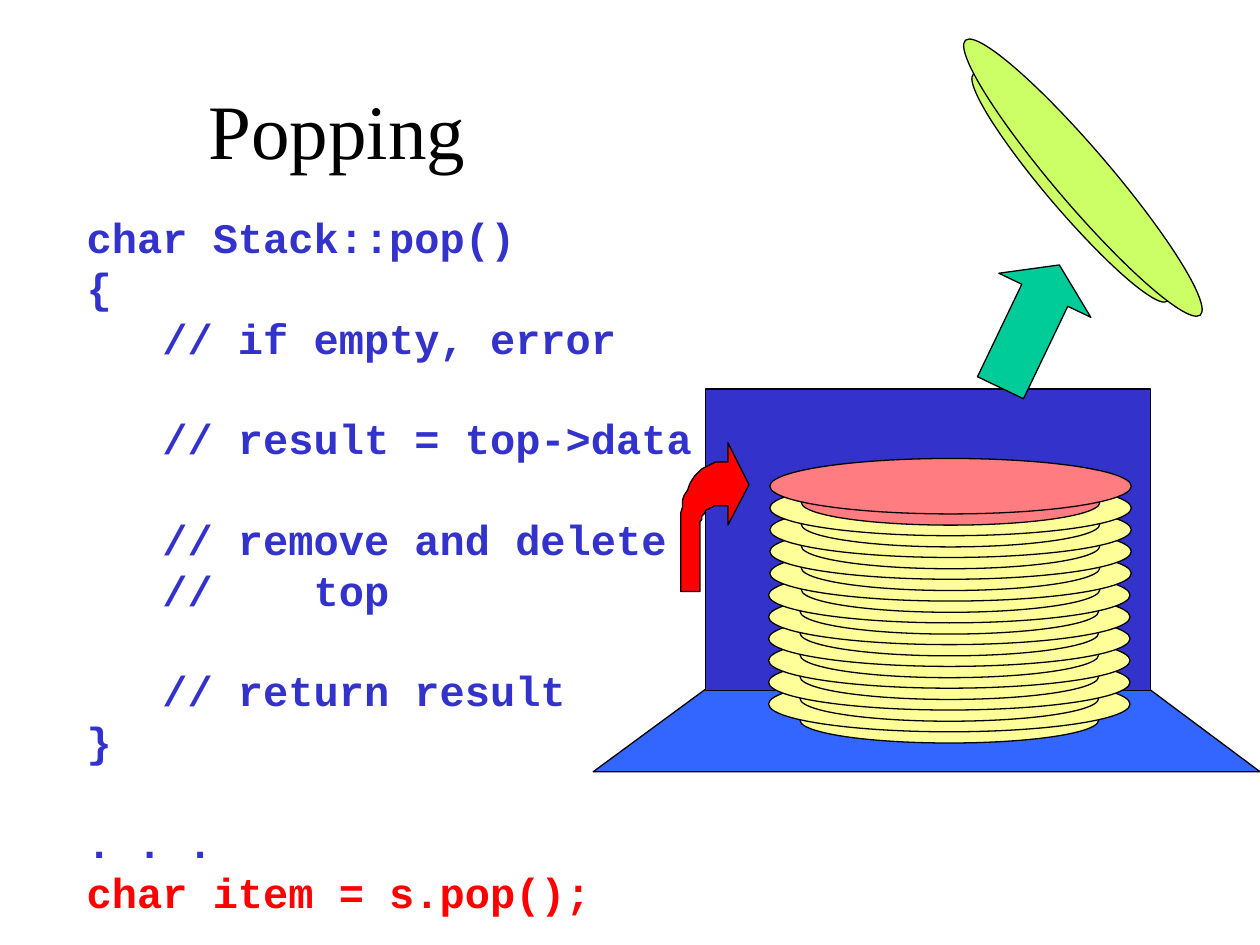
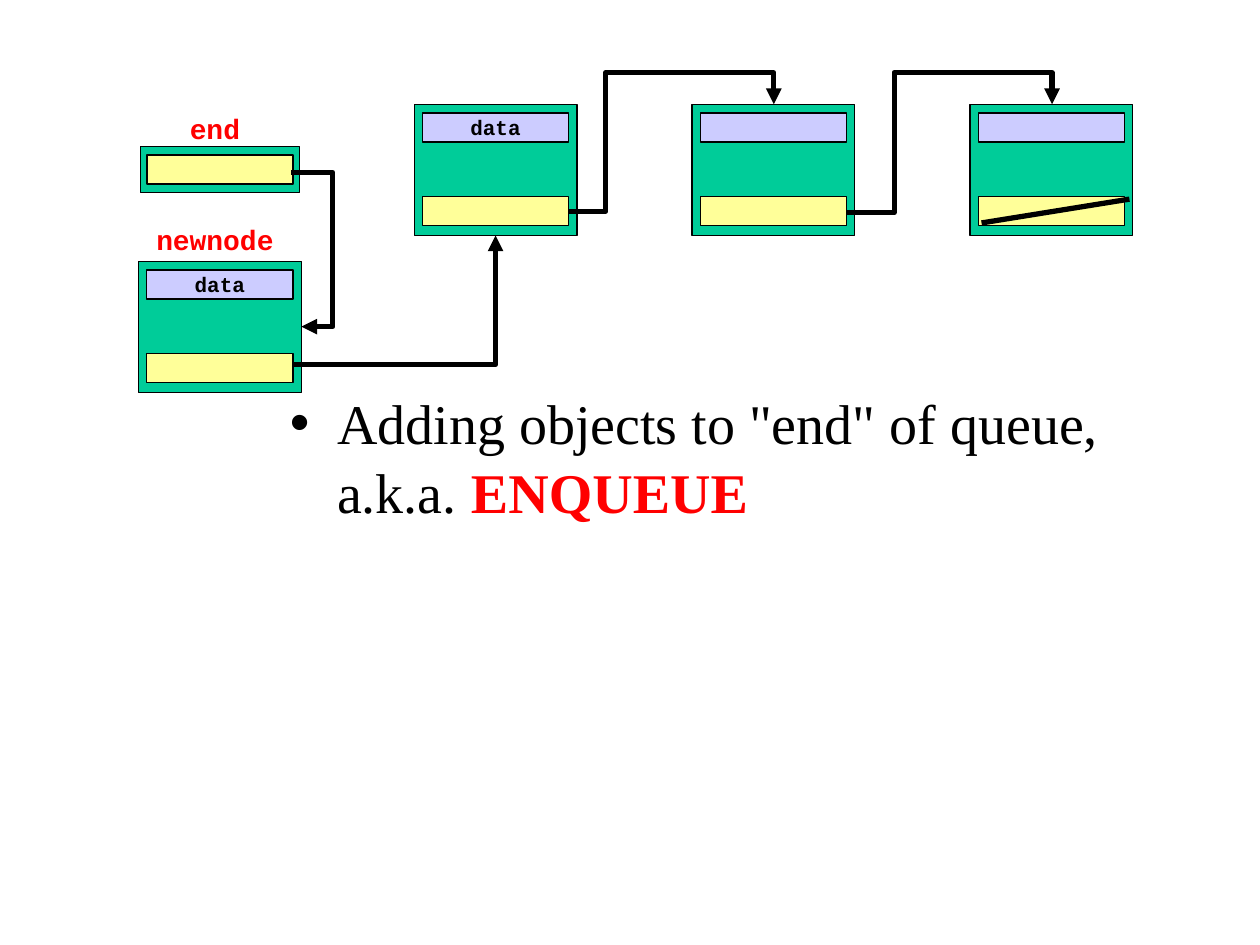
from dataclasses import dataclass
from math import cos, radians, sin

from lxml.etree import SubElement
from pptx import Presentation
from pptx.dml.color import RGBColor as Rgb
from pptx.enum.shapes import MSO_CONNECTOR as Link, MSO_SHAPE as Form
from pptx.enum.text import MSO_ANCHOR as Anchor, MSO_AUTO_SIZE as Fit, PP_ALIGN as Align
from pptx.oxml.ns import qn
from pptx.util import Pt


@dataclass(frozen=True)
class Theme:
    serif: str = "Times New Roman"
    mono: str = "Courier New"
    black: str = "000000"
    red: str = "FF0000"
    navy: str = "3333CC"
    blue: str = "3366FF"
    green: str = "00CC99"
    lime: str = "CCFF66"
    pink: str = "FF7C80"
    yellow: str = "FFFF99"
    lilac: str = "CCCCFF"
    title: int = 44
    body: int = 32
    code: int = 24
    label: int = 16
    small: int = 12
    thin: float = 0.75
    thick: float = 3


T = Theme()

CODE = """\
char Stack::pop()
{
   // if empty, error

   // result = top->data

   // remove and delete
   //    top

   // return result
}

. . .
char item = s.pop();"""
CODE_STEP = 28.8

PLATES = 11
PLATE_STEP = 12.45

NODE_W, NODE_H = 93, 75
SLOT_W, SLOT_H = 83.5, 16.6
SLOT_X, DATA_Y, NEXT_Y = 4.7, 5, 52.6
ROW_LEFT, ROW_TOP, ROW_STEP = 236.7, 59.6, 158.8


def box(left, top, width, height):
    return Pt(left), Pt(top), Pt(width), Pt(height)


def place(item, left, top, width, height):
    item.left, item.top, item.width, item.height = box(left, top, width, height)


def style(para, name, size, color, bold=False):
    font = para.font
    font.name, font.size, font.bold = name, Pt(size), bold
    font.color.rgb = Rgb.from_string(color)


def paint(shape, color):
    shape.shadow.inherit = False
    shape.fill.solid()
    shape.fill.fore_color.rgb = Rgb.from_string(color)
    shape.line.color.rgb = Rgb.from_string(T.black)
    shape.line.width = Pt(T.thin)
    return shape


def draw(slide, form, color, left, top, width, height, turn=0):
    shape = paint(slide.shapes.add_shape(form, *box(left, top, width, height)), color)
    shape.rotation = turn
    return shape


def outline(slide, color, points):
    """Fill a closed polygon given in points."""
    pen = slide.shapes.build_freeform(*points[0], scale=Pt(1))
    pen.add_line_segments(points[1:], close=True)
    return paint(pen.convert_to_shape(), color)


def arc(x, y, wide, high, start, end, steps=16):
    """List points on an ellipse from one angle to another."""
    turns = [radians(start + (end - start) * i / steps) for i in range(steps + 1)]
    return [(x + wide * cos(a), y - high * sin(a)) for a in turns]


def plate(slide, left, top, color, dx=18, dy=12.2, turn=0):
    """Draw a base, offset by dx and dy, under a wider rim."""
    draw(slide, Form.OVAL, color, left + dx, top + dy, 170.6, 25.9, turn)
    draw(slide, Form.OVAL, color, left, top, 206.6, 31.7, turn)


def line(slide, start, end, kind=Link.STRAIGHT):
    wire = slide.shapes.add_connector(kind, *map(Pt, start + end))
    wire.line.color.rgb = Rgb.from_string(T.black)
    wire.line.width = Pt(T.thick)
    SubElement(wire._element.spPr, qn("a:effectLst"))
    return wire


def arrow(slide, start, end, *bends):
    """Draw an elbow arrow; bends holds the x, then the y, of its turns."""
    wire = line(slide, start, end, Link.ELBOW)
    props = wire._element.spPr
    geom = props.find(qn("a:prstGeom"))
    geom.set("prst", f"bentConnector{len(bends) + 2}")
    guides = geom.find(qn("a:avLst"))
    if guides is None:
        guides = SubElement(geom, qn("a:avLst"))
    for i, bend in enumerate(bends):
        ratio = (bend - start[i]) / (end[i] - start[i])
        SubElement(guides, qn("a:gd"), name=f"adj{i + 1}",
                   fmla=f"val {round(ratio * 100000)}")
    SubElement(props.find(qn("a:ln")), qn("a:tailEnd"), type="triangle")


def slot(slide, color, left, top, text=""):
    shape = draw(slide, Form.RECTANGLE, color, left, top, SLOT_W, SLOT_H)
    if text:
        frame = shape.text_frame
        frame.word_wrap = False
        frame.vertical_anchor = Anchor.MIDDLE
        para = frame.paragraphs[0]
        para.text, para.alignment = text, Align.CENTER
        style(para, T.mono, T.small, T.black, True)


def node(slide, left, top, text=""):
    draw(slide, Form.RECTANGLE, T.green, left, top, NODE_W, NODE_H)
    slot(slide, T.lilac, left + SLOT_X, top + DATA_Y, text)
    slot(slide, T.yellow, left + SLOT_X, top + NEXT_Y)


def label(slide, text, top):
    frame = slide.shapes.add_textbox(*box(76.3, top, 93, 26.6)).text_frame
    frame.word_wrap = True
    frame.vertical_anchor = Anchor.BOTTOM
    para = frame.paragraphs[0]
    para.text, para.alignment = text, Align.CENTER
    style(para, T.mono, T.label, T.red, True)


def heading(slide, text):
    title = slide.shapes.title
    place(title, 28.8, 43.2, 327.6, 60.5)
    frame = title.text_frame
    frame.auto_size, frame.vertical_anchor = Fit.NONE, Anchor.BOTTOM
    para = frame.paragraphs[0]
    para.text, para.alignment = text, Align.CENTER
    style(para, T.serif, T.title, T.black)


def listing(slide):
    """Set the code, turning each empty line into space before the next."""
    frame = slide.shapes.add_textbox(*box(42.5, 113.8, 362.2, 410.4)).text_frame
    frame.word_wrap = True
    frame.margin_top = Pt(7)
    rows = CODE.split("\n")
    para = frame.paragraphs[0]
    for i, row in enumerate(rows):
        if not row:
            continue
        if i:
            para = frame.add_paragraph()
        para.text = row
        para.line_spacing = Pt(CODE_STEP)
        para.space_before = Pt(CODE_STEP if i and not rows[i - 1] else 0)
        style(para, T.mono, T.code, T.red if i == len(rows) - 1 else T.navy, True)


def bullet(slide, text, key):
    body = slide.placeholders[1]
    place(body, 158.4, 216, 541.4, 324)
    frame = body.text_frame
    frame.auto_size, frame.margin_top = Fit.NONE, Pt(5)
    para = frame.paragraphs[0]
    para.line_spacing, para.space_before = Pt(39.4), Pt(0)
    style(para, T.serif, T.body, T.black)
    para.add_run().text = text
    run = para.add_run()
    run.text, run.font.bold = key, True
    run.font.color.rgb = Rgb.from_string(T.red)


def popping(deck):
    slide = deck.slides.add_slide(deck.slide_layouts[5])
    outline(slide, T.blue, [(339.3, 441.4), (720, 441.4), (657.3, 394.5), (403, 394.5)])
    draw(slide, Form.RECTANGLE, T.navy, 403, 222.3, 254.3, 172.2)
    heading(slide, "Popping")
    listing(slide)

    for i in range(PLATES):
        plate(slide, 439.2 if i < 6 else 439.9, 386.5 - PLATE_STEP * i,
              T.pink if i == PLATES - 1 else T.yellow)
    lift = draw(slide, Form.UP_ARROW, T.green, 559.4, 147.6, 58.3, 77.8, 25.6)
    lift.adjustments[1] = 0.33
    plate(slide, 515.5, 85.7, T.lime, 10.8, 8.6, 49.5)

    bend = 411.1, 300.2
    head = [(416.2, 264.2), (416.2, 252.9), (427.8, 276.6), (416.2, 300.2), (416.2, 288.7)]
    outline(slide, T.red, [(388.8, 337.5), *arc(*bend, 22.3, 36, 180, 90), *head,
                           *arc(*bend, 10.9, 11.5, 90, 180), (400.2, 337.5)])


def enqueue(deck):
    slide = deck.slides.add_slide(deck.slide_layouts[1])
    title = slide.shapes.title._element
    title.getparent().remove(title)
    bullet(slide, 'Adding objects to "end" of queue, a.k.a. ', "ENQUEUE")

    draw(slide, Form.RECTANGLE, T.green, 80.4, 83.8, 90.7, 26.4)
    slot(slide, T.yellow, 84, 88.6)
    for i, text in enumerate(["data", "", ""]):
        node(slide, ROW_LEFT + ROW_STEP * i, ROW_TOP, text)
    arrow(slide, (325, 120.7), (442.2, ROW_TOP), 346.2, 41.5)
    arrow(slide, (484, 121.4), (601.2, ROW_TOP), 511, 41.5)
    line(slide, (560.9, 127.4), (645.4, 113.8))

    node(slide, 79.2, 149.3, "data")
    arrow(slide, (166.5, 98.6), (172.2, 186.7), 190.2)
    arrow(slide, (167, 208.4), (283.2, ROW_TOP + NODE_H))
    label(slide, "end", 59.8)
    label(slide, "newnode", 123.1)


def main():
    deck = Presentation()
    deck.slide_width, deck.slide_height = Pt(720), Pt(540)
    popping(deck)
    enqueue(deck)
    deck.save("out.pptx")


if __name__ == "__main__":
    main()
